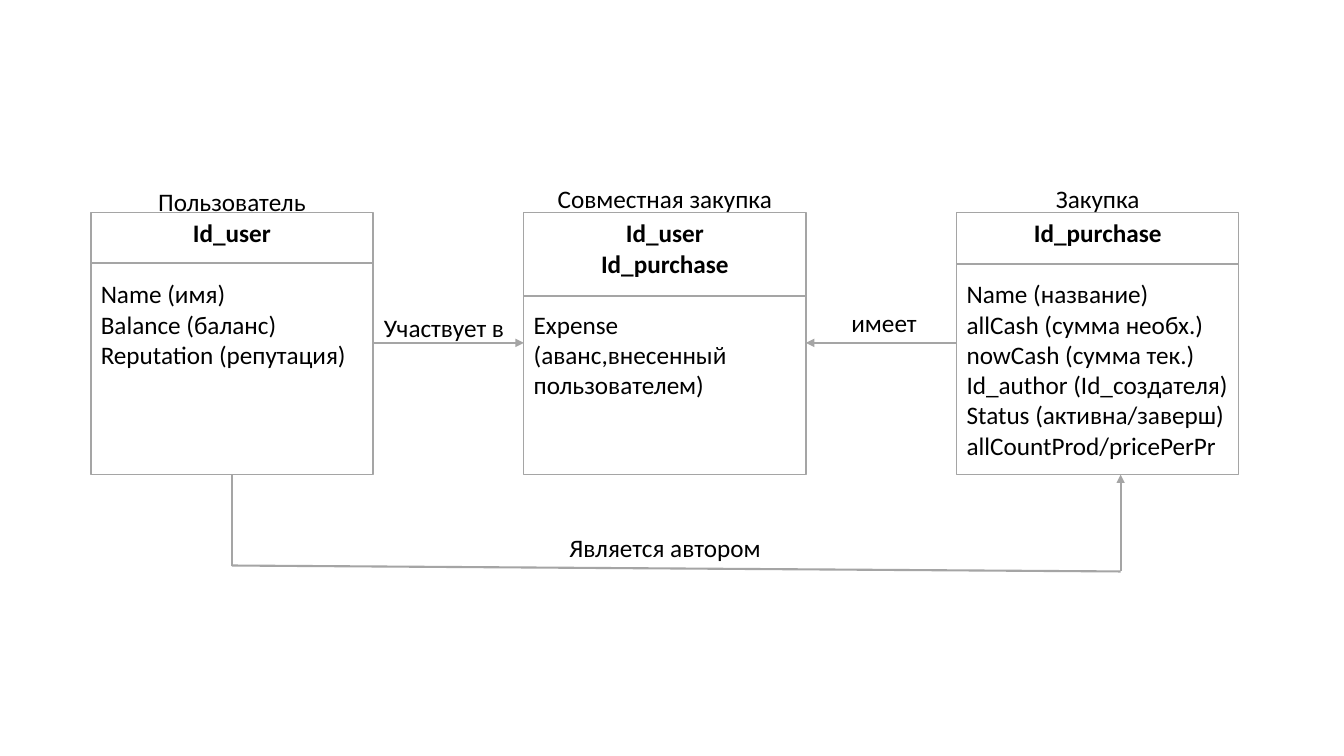
from itertools import pairwise

from pptx import Presentation
from pptx.dml.color import RGBColor
from pptx.enum.shapes import MSO_CONNECTOR, MSO_SHAPE
from pptx.enum.text import MSO_ANCHOR, PP_ALIGN
from pptx.oxml.ns import qn
from pptx.util import Cm, Pt
from lxml.etree import SubElement

COLORS = {"paper": "FFFFFF", "line": "A5A5A5", "text": "000000"}
FONT, TEXT_SIZE, BLANK_LINE = "Calibri", 18, 22

# Title, title width, title top, key height, keys, attributes
ENTITIES = [
    ("Пользователь", 4.27, 4.57, 1.27, ["Id_user"],
     ["Name (имя)", "Balance (баланс)", "Reputation (репутация)"]),
    ("Совместная закупка", 5.97, 4.5, 2.11, ["Id_user", "Id_purchase"],
     ["Expense (аванс,внесенный пользователем)"]),
    ("Закупка", 2.64, 4.5, 1.3, ["Id_purchase"],
     ["Name (название)", "allCash (сумма необх.)", "nowCash (сумма тек.)",
      "Id_author (Id_создателя)", "Status (активна/заверш)",
      "allCountProd/pricePerPr"]),
]
# Text, centre, top, width
RELATION_LABELS = [
    ("Участвует в", 11.19, 7.75, 3.58),
    ("имеет", 22.28, 7.62, 2.18),
    ("Является автором", 16.76, 13.28, 5.38),
]

BOX_LEFT, BOX_TOP, BOX_WIDTH, BOX_HEIGHT, BOX_STEP = 2.29, 5.36, 7.11, 6.6, 10.91
BOX_BOTTOM = BOX_TOP + BOX_HEIGHT
ARROW_Y = 8.64
LEFTS = [BOX_LEFT + i * BOX_STEP for i in range(len(ENTITIES))]
RIGHTS = [left + BOX_WIDTH for left in LEFTS]
AUTHOR_X, PURCHASE_X = LEFTS[0] + BOX_WIDTH / 2, 28.24

# Each route is a chain of points; its last segment carries the arrowhead
ROUTES = [
    [(RIGHTS[0], ARROW_Y), (LEFTS[1], ARROW_Y)],
    [(LEFTS[2], ARROW_Y), (RIGHTS[1], ARROW_Y)],
    [(AUTHOR_X, BOX_BOTTOM), (AUTHOR_X, 14.25), (PURCHASE_X, 14.4),
     (PURCHASE_X, BOX_BOTTOM)],
]


def color(name):
    """Return a named colour."""
    return RGBColor.from_string(COLORS[name])


def style(para, align, bold=False):
    """Set the alignment and font of a paragraph."""
    para.alignment = align
    for span in para.runs:
        span.font.name, span.font.size, span.font.bold = FONT, Pt(TEXT_SIZE), bold
        span.font.color.rgb = color("text")


def add_label(page, text, centre, top, width):
    """Add a one-line caption centred on a given x."""
    box = page.shapes.add_textbox(Cm(centre - width / 2), Cm(top), Cm(width), Cm(1.02))
    box.text_frame.word_wrap = False
    box.text_frame.text = text
    style(box.text_frame.paragraphs[0], PP_ALIGN.CENTER)


def add_line(page, start, end, arrow=False):
    """Draw a straight line, with an arrowhead at its end if asked."""
    points = [Cm(value) for value in (*start, *end)]
    line = page.shapes.add_connector(MSO_CONNECTOR.STRAIGHT, *points)
    line.line.color.rgb = color("line")
    line.line.width = Pt(1.5)
    if arrow:
        SubElement(line.line._get_or_add_ln(), qn("a:tailEnd"), type="triangle")
    SubElement(line._element.spPr, qn("a:effectLst"))


def add_entity(page, left, keys, attributes):
    """Draw an entity box with bold keys above plain attributes."""
    box = page.shapes.add_shape(MSO_SHAPE.RECTANGLE, Cm(left), Cm(BOX_TOP),
                                Cm(BOX_WIDTH), Cm(BOX_HEIGHT))
    box.shadow.inherit = False
    box.fill.solid()
    box.fill.fore_color.rgb = color("paper")
    box.line.color.rgb = color("line")
    box.line.width = Pt(1)
    frame = box.text_frame
    frame.word_wrap = True
    frame.vertical_anchor = MSO_ANCHOR.TOP
    frame.text = "\n".join(keys + attributes)
    for i, para in enumerate(frame.paragraphs):
        is_key = i < len(keys)
        style(para, PP_ALIGN.CENTER if is_key else PP_ALIGN.LEFT, is_key)
    frame.paragraphs[len(keys)].space_before = Pt(BLANK_LINE)


deck = Presentation()
deck.slide_width, deck.slide_height = Cm(33.87), Cm(19.05)
page = deck.slides.add_slide(deck.slide_layouts[6])

for left, right, entity in zip(LEFTS, RIGHTS, ENTITIES):
    title, title_width, title_top, key_height, keys, attributes = entity
    divider_y = BOX_TOP + key_height
    add_entity(page, left, keys, attributes)
    add_line(page, (left, divider_y), (right, divider_y))
    add_label(page, title, left + BOX_WIDTH / 2, title_top, title_width)

for route in ROUTES:
    for start, end in pairwise(route):
        add_line(page, start, end, arrow=end == route[-1])

for label in RELATION_LABELS:
    add_label(page, *label)

deck.save("out.pptx")
